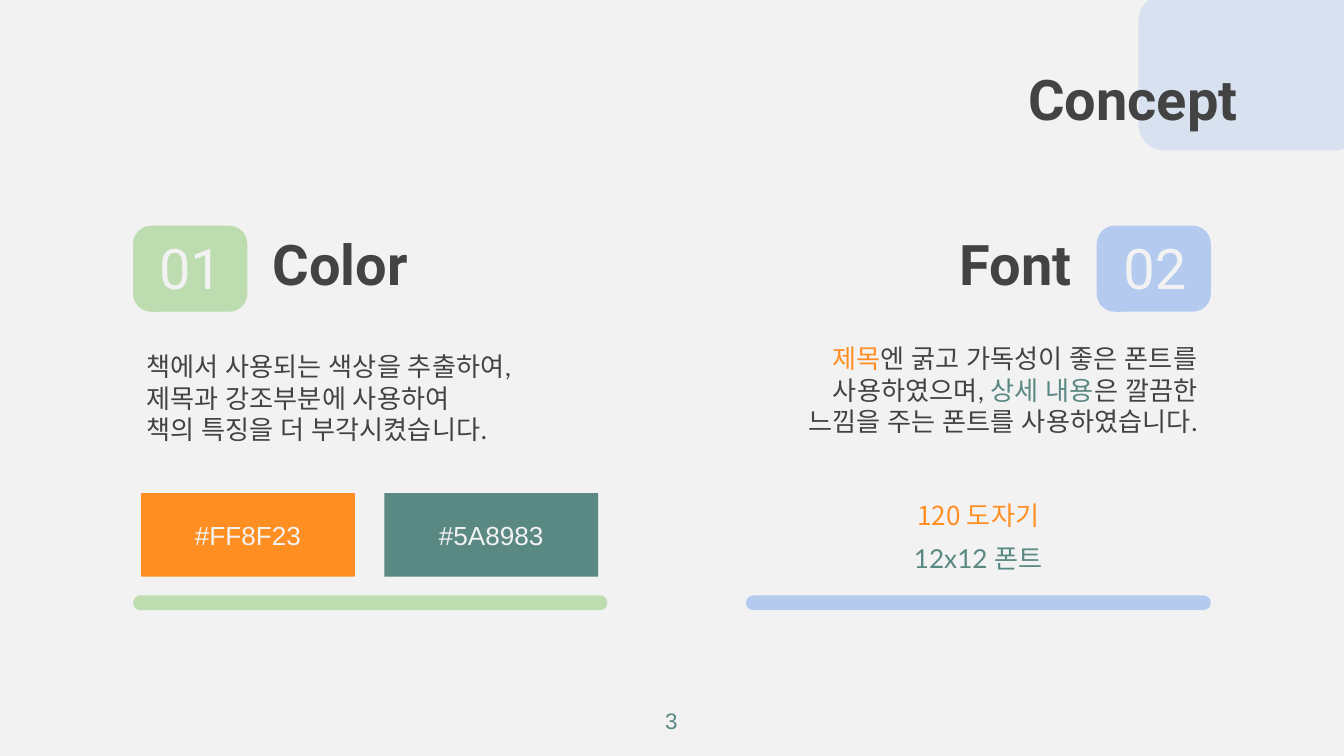
from lxml import etree
from pptx import Presentation
from pptx.dml.color import RGBColor
from pptx.enum.shapes import MSO_SHAPE
from pptx.enum.text import MSO_ANCHOR, MSO_AUTO_SIZE, PP_ALIGN
from pptx.oxml.ns import qn
from pptx.util import Inches, Pt

RECT, ROUND = MSO_SHAPE.RECTANGLE, MSO_SHAPE.ROUNDED_RECTANGLE
TOP, MIDDLE, BOTTOM = MSO_ANCHOR.TOP, MSO_ANCHOR.MIDDLE, MSO_ANCHOR.BOTTOM
LEFT, CENTER, RIGHT = PP_ALIGN.LEFT, PP_ALIGN.CENTER, PP_ALIGN.RIGHT
NO_FIT = MSO_AUTO_SIZE.NONE

PAPER = RGBColor(0xF2, 0xF2, 0xF2)
INK = RGBColor(0x43, 0x43, 0x43)
ORANGE = RGBColor(0xFF, 0x8F, 0x23)
TEAL = RGBColor(0x5A, 0x89, 0x83)
GREEN = RGBColor(0xAB, 0xD5, 0x9A)
BLUE = RGBColor(0x8C, 0xB1, 0xEE)


def place(shape, left, top, width, height):
    shape.left, shape.top = Inches(left), Inches(top)
    shape.width, shape.height = Inches(width), Inches(height)


def add_run(para, text, size, face, color, bold):
    run = para.add_run()
    run.text = text
    font = run.font
    font.name, font.size, font.bold = face, Pt(size), bold
    font.color.rgb = color
    etree.SubElement(run._r.get_or_add_rPr(), qn("a:ea"), typeface=face)


def write(shape, lines, size, face, align=LEFT, anchor=TOP, bold=False, inset=0.1):
    frame = shape.text_frame
    frame.word_wrap = True
    frame.auto_size = NO_FIT
    frame.vertical_anchor = anchor
    frame.margin_left = frame.margin_right = Inches(inset)
    frame.margin_top = frame.margin_bottom = Inches(inset)
    for index, line in enumerate(lines):
        para = frame.add_paragraph() if index else frame.paragraphs[0]
        para.alignment = align
        for text, color in line:
            add_run(para, text, size, face, color, bold)


def add_text(slide, box, lines, size, face, **style):
    shape = slide.shapes.add_textbox(*map(Inches, box))
    write(shape, lines, size, face, **style)


def add_block(slide, kind, box, color, alpha=100, curve=None):
    shape = slide.shapes.add_shape(kind, *map(Inches, box))
    shape.shadow.inherit = False
    shape.line.fill.background()
    shape.fill.solid()
    shape.fill.fore_color.rgb = color
    if curve is not None:
        shape.adjustments[0] = curve
    if alpha < 100:
        tone = shape.element.spPr.find(qn("a:solidFill"))[0]
        etree.SubElement(tone, qn("a:alpha"), val=str(alpha * 1000))
    return shape


def add_title(slide, text):
    title = slide.shapes.title
    place(title, 4.56, 0.38, 4.75, 0.82)
    write(title, [[(text, INK)]], 30, "Roboto", align=RIGHT, bold=True)
    title.element.getparent().append(title.element)


def add_topic(slide, bar, badge, number, digits, name, head, color, alpha, align):
    left, width = bar
    add_block(slide, ROUND, (left, 4.43, width, 0.11), color, alpha, 0.5)
    add_block(slide, ROUND, (badge, 1.68, 0.85, 0.64), color, alpha, 0.21)
    inner = RIGHT if align == LEFT else LEFT
    add_text(slide, (digits, 1.65, 0.69, 0.69), [[(number, PAPER)]],
             30, "Roboto", align=inner, anchor=BOTTOM)
    add_text(slide, (head, 1.68, 1.71, 0.63), [[(name, INK)]],
             30, "Roboto", align=align, anchor=BOTTOM, bold=True)


def add_swatch(slide, left, color):
    shape = add_block(slide, RECT, (left, 3.67, 1.59, 0.62), color)
    write(shape, [[(f"#{color}", PAPER)]], 14, "Arial", align=CENTER, anchor=MIDDLE)


def add_label(slide, box, text, size, face, color):
    add_text(slide, box, [[(text, color)]], size, face,
             align=CENTER, anchor=MIDDLE, inset=0)


def main():
    deck = Presentation()
    deck.slide_width = Inches(10)
    deck.slide_height = deck.slide_width * 9 // 16
    slide = deck.slides.add_slide(deck.slide_layouts[5])
    slide.background.fill.solid()
    slide.background.fill.fore_color.rgb = PAPER

    add_block(slide, ROUND, (8.47, -0.04, 1.66, 1.16), BLUE, 25, 0.17)

    add_topic(slide, (0.99, 3.53), 0.99, "01", 1.06, "Color", 1.93, GREEN, 74, LEFT)
    add_text(slide, (0.99, 2.51, 3.53, 0.96), [
        [("책에서 사용되는 색상을 추출하여,", INK)],
        [("제목과 강조부분에 사용하여", INK)],
        [("책의 특징을 더 부각시켰습니다.", INK)],
    ], 14, "Lato")
    for left, color in ((1.05, ORANGE), (2.86, TEAL)):
        add_swatch(slide, left, color)

    add_topic(slide, (5.55, 3.46), 8.16, "02", 8.26, "Font", 6.36, BLUE, 60, RIGHT)
    add_text(slide, (5.55, 2.45, 3.46, 0.96), [
        [("제목", ORANGE), ("엔 굵고 가독성이 좋은 폰트를", INK)],
        [("사용하였으며, ", INK), ("상세 내용", TEAL),
         ("은 깔끔한 느낌을 주는 폰트를 사용하였습니다.", INK)],
    ], 14, "Lato", align=RIGHT)
    add_label(slide, (5.55, 3.67, 3.46, 0.32), "120 도자기", 14, "Noto Sans CJK KR", ORANGE)
    add_label(slide, (5.55, 4.03, 3.46, 0.24), "12x12 폰트", 14, "Lato", TEAL)

    add_label(slide, (3.87, 5.21, 2.25, 0.3), "3", 12, "Arial", TEAL)
    add_title(slide, "Concept")
    deck.save("out.pptx")


if __name__ == "__main__":
    main()
